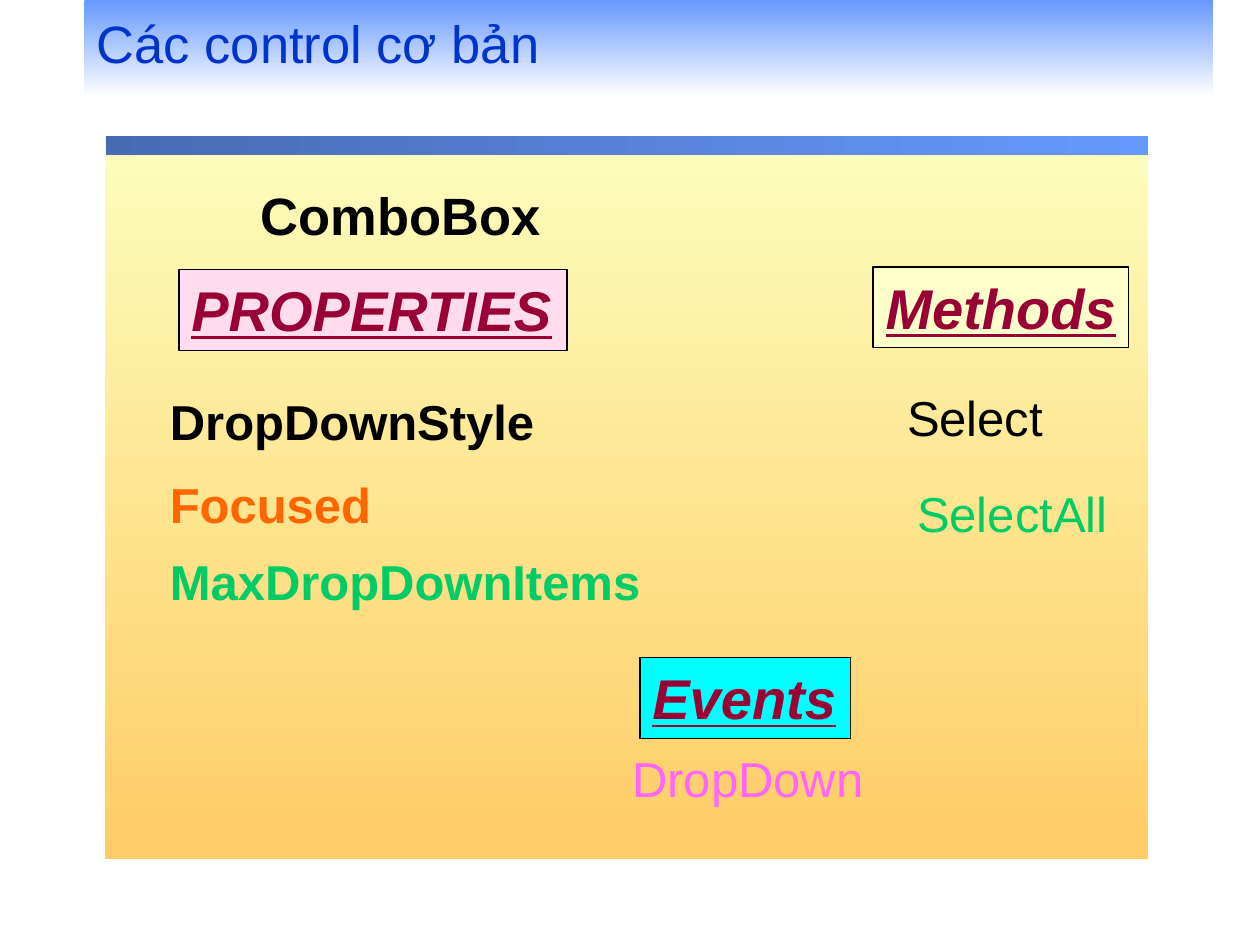
from dataclasses import dataclass

from pptx import Presentation
from pptx.dml.color import RGBColor as Rgb
from pptx.enum.shapes import MSO_SHAPE as Kind
from pptx.enum.text import MSO_ANCHOR as Anchor, PP_ALIGN as Align
from pptx.util import Inches, Pt

BLACK = Rgb(0x00, 0x00, 0x00)
WHITE = Rgb(0xFF, 0xFF, 0xFF)
SKY = Rgb(0x66, 0x99, 0xFF)
STEEL = Rgb(0x47, 0x6B, 0xB3)
BLUE = Rgb(0x00, 0x33, 0xCC)
CREAM = Rgb(0xFC, 0xFE, 0xBC)
AMBER = Rgb(0xFF, 0xCC, 0x66)
ROSE = Rgb(0xFF, 0xDD, 0xEE)
CYAN = Rgb(0x00, 0xFF, 0xFF)
IVORY = Rgb(0xFF, 0xFF, 0xCC)
WINE = Rgb(0x99, 0x00, 0x33)
ORANGE = Rgb(0xFF, 0x66, 0x00)
GREEN = Rgb(0x00, 0xCC, 0x66)
PINK = Rgb(0xFF, 0x66, 0xFF)

DOWN, LEFT = 270, 180  # gradient angles, counter-clockwise
TAG_H, ITEM_H = 0.64, 0.57
LIST_X = 1.25


@dataclass
class Box:
    x: float
    y: float
    w: float
    h: float


@dataclass
class Tag:
    text: str
    box: Box
    fill: Rgb


@dataclass
class Item:
    text: str
    box: Box
    color: Rgb
    bold: bool = False


def place(box: Box) -> tuple:
    return tuple(Inches(n) for n in (box.x, box.y, box.w, box.h))


def add_rect(slide, box: Box):
    rect = slide.shapes.add_shape(Kind.RECTANGLE, *place(box))
    rect.shadow.inherit = False
    rect.line.fill.background()
    return rect


def add_band(slide, box: Box, start: Rgb, end: Rgb, angle: int):
    band = add_rect(slide, box)
    band.fill.gradient()
    band.fill.gradient_angle = angle
    for stop, color in zip(band.fill.gradient_stops, (start, end)):
        stop.color.rgb = color
    return band


def write(shape, text: str, size: int, color: Rgb, bold: bool = False,
          anchor=Anchor.TOP, wrap: bool = False):
    frame = shape.text_frame
    frame.text = text
    frame.word_wrap = wrap
    frame.vertical_anchor = anchor
    line = frame.paragraphs[0]
    line.alignment = Align.LEFT
    font = line.runs[0].font
    font.name, font.size, font.bold = "Arial", Pt(size), bold
    font.color.rgb = color
    return line


def add_tag(slide, tag: Tag) -> None:
    rect = add_rect(slide, tag.box)
    rect.fill.solid()
    rect.fill.fore_color.rgb = tag.fill
    rect.line.color.rgb = BLACK
    rect.line.width = Pt(0.75)
    font = write(rect, tag.text, 32, WINE, True).runs[0].font
    font.italic = font.underline = True


def add_item(slide, item: Item) -> None:
    label = slide.shapes.add_textbox(*place(item.box))
    write(label, item.text, 28, item.color, item.bold)


TAGS = [
    Tag("PROPERTIES", Box(1.42, 2.14, 3.08, TAG_H), ROSE),
    Tag("Events", Box(5.08, 5.22, 1.67, TAG_H), CYAN),
    Tag("Methods", Box(6.93, 2.12, 2.03, TAG_H), IVORY),
]
ITEMS = [
    Item("DropDownStyle", Box(LIST_X, 3.06, 3.21, ITEM_H), BLACK, True),
    Item("Focused", Box(LIST_X, 3.72, 1.91, ITEM_H), ORANGE, True),
    Item("MaxDropDownItems", Box(LIST_X, 4.33, 4.05, ITEM_H), GREEN, True),
    Item("Select", Box(7.1, 3.03, 1.39, ITEM_H), BLACK),
    Item("SelectAll", Box(7.18, 3.79, 1.82, ITEM_H), GREEN),
    Item("DropDown", Box(4.92, 5.89, 2.11, ITEM_H), PINK),
]


def main() -> None:
    deck = Presentation()
    deck.slide_width, deck.slide_height = Inches(10), Inches(7.5)
    slide = deck.slides.add_slide(deck.slide_layouts[6])

    # Panel and its top bar
    add_band(slide, Box(0.83, 1.1, 8.28, 5.72), CREAM, AMBER, DOWN)
    add_band(slide, Box(0.84, 1.08, 8.27, 0.15), SKY, STEEL, LEFT)

    # Title
    title = add_band(slide, Box(0.67, 0, 8.96, 0.77), SKY, WHITE, DOWN)
    line = write(title, "Các control cơ bản", 30, BLUE,
                 anchor=Anchor.MIDDLE, wrap=True)
    line.line_spacing = 0.8

    # Group headings and their members
    for tag in TAGS:
        add_tag(slide, tag)
    for item in ITEMS:
        add_item(slide, item)

    # Control name
    name = slide.shapes.add_textbox(*place(Box(1.97, 1.1, 5.75, 0.9)))
    line = write(name, "ComboBox", 30, BLACK, True, Anchor.BOTTOM, True)
    line.line_spacing = 0.8

    deck.save("out.pptx")


if __name__ == "__main__":
    main()
